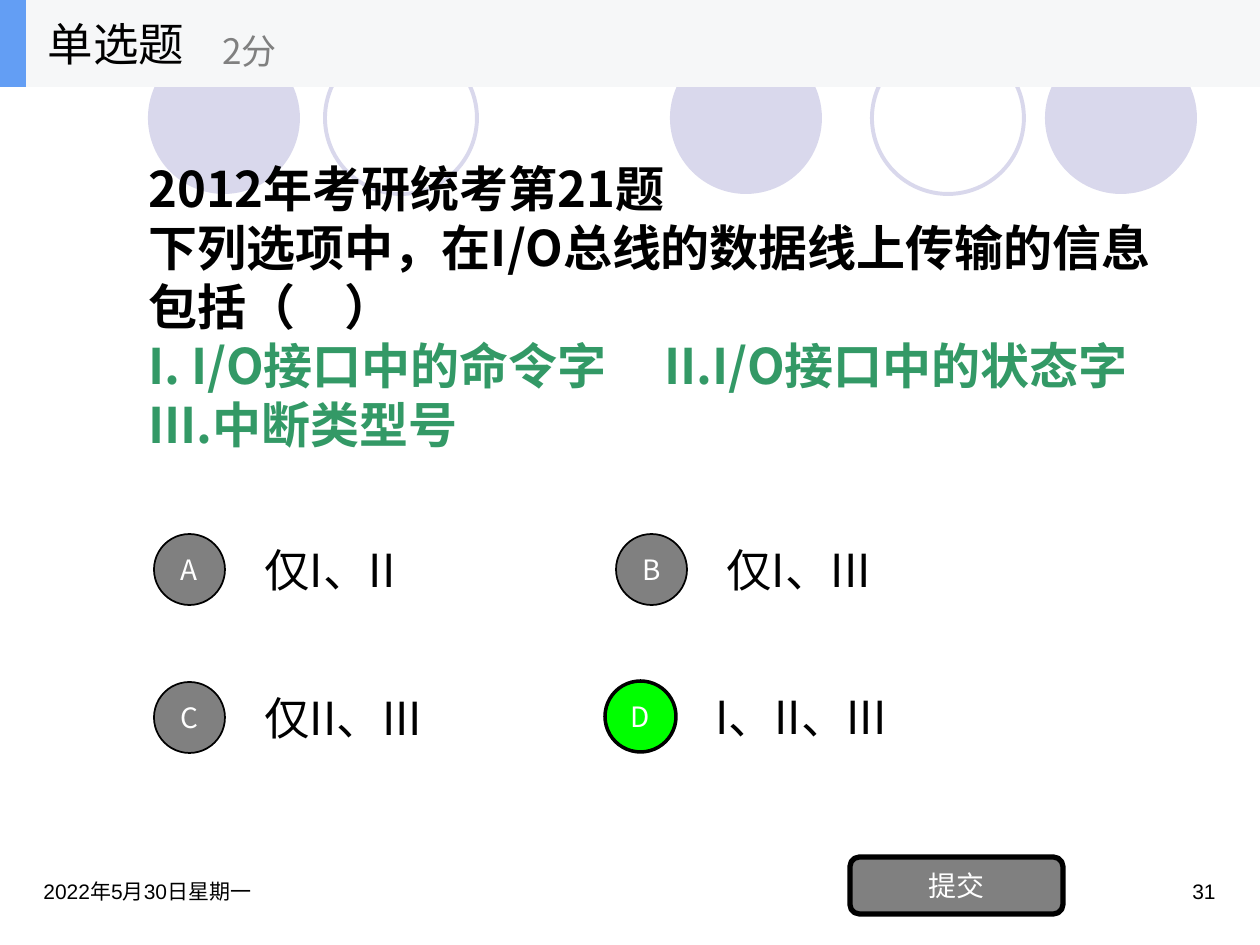
import pptx
import pptx.dml.color
import pptx.enum.shapes
import pptx.enum.text
import pptx.oxml
import pptx.oxml.ns
import pptx.util

EMU_PER_PX = 914400 / 126
SANS = "Noto Sans CJK SC"
COLORS = {
    "black": "000000", "white": "FFFFFF", "gray": "808080", "green": "339966",
    "lilac": "D9D8EC", "correct": "00FF00", "band": "F6F7F8", "accent": "639EF4",
}
SHAPE = pptx.enum.shapes.MSO_SHAPE
ALIGN = pptx.enum.text.PP_ALIGN
ANCHOR = pptx.enum.text.MSO_ANCHOR


def px(length):
    return pptx.util.Emu(round(length * EMU_PER_PX))


def rgb(name):
    return pptx.dml.color.RGBColor.from_string(COLORS[name])


def format_para(para, size, color="black", font=SANS, bold=False, align=ALIGN.LEFT):
    para.alignment = align
    for span in para.runs:
        span.font.size = pptx.util.Pt(size)
        span.font.name = font
        span.font.bold = bold
        span.font.color.rgb = rgb(color)
        # East Asian glyphs take their typeface from a separate element
        east_asian = pptx.oxml.parse_xml(
            f'<a:ea {pptx.oxml.ns.nsdecls("a")} typeface="{SANS}"/>')
        span.font.fill  # keeps the fill ahead of the typefaces
        span.font._element.find(pptx.oxml.ns.qn("a:latin")).addnext(east_asian)


def add_text(page, left, top, width, height, text, size, anchor=ANCHOR.MIDDLE, **style):
    box = page.shapes.add_textbox(px(left), px(top), px(width), px(height))
    frame = box.text_frame
    frame.word_wrap = True
    frame.vertical_anchor = anchor
    frame.text = text
    for para in frame.paragraphs:
        format_para(para, size, **style)
    return box


def add_figure(page, kind, left, top, width, height, fill=None, line=None, weight=1):
    figure = page.shapes.add_shape(kind, px(left), px(top), px(width), px(height))
    figure.shadow.inherit = False
    if fill:
        figure.fill.solid()
        figure.fill.fore_color.rgb = rgb(fill)
    else:
        figure.fill.background()
    if line:
        figure.line.color.rgb = rgb(line)
        figure.line.width = pptx.util.Pt(weight)
    else:
        figure.line.fill.background()
    return figure


def add_button(page, kind, left, top, width, height, label, fill, weight):
    button = add_figure(page, kind, left, top, width, height, fill, "black", weight)
    frame = button.text_frame
    frame.margin_left = frame.margin_right = 0
    frame.vertical_anchor = ANCHOR.MIDDLE
    frame.text = label
    format_para(frame.paragraphs[0], 16, "white", align=ALIGN.CENTER)


def add_circles(page, top, size):
    for left, filled in ((148, True), (325, False), (670, True), (872, False), (1045, True)):
        fill, line = ("lilac", None) if filled else (None, "lilac")
        add_figure(page, SHAPE.OVAL, left, top, size, size, fill, line, 2.25)


def add_header(page, left, top, width, height):
    add_figure(page, SHAPE.RECTANGLE, left, top, width, height, "band")
    add_figure(page, SHAPE.RECTANGLE, left, top, 26, height, "accent")
    title = page.shapes.title
    title.left, title.top = px(left + 35), px(top)
    title.width, title.height = px(262), px(height)
    title.text_frame.text = "单选题"
    title.text_frame.vertical_anchor = ANCHOR.MIDDLE
    format_para(title.text_frame.paragraphs[0], 26)
    # Bring the title in front of the band
    title.element.getparent().append(title.element)
    add_text(page, left + 210, top + 15, 315, 71, "2分", 20, color="gray")


def add_question(page, left, top, width, height):
    lines = (
        ("2012年考研统考第21题", "black"),
        ("下列选项中，在I/O总线的数据线上传输的信息包括（　）", "black"),
        ("I. I/O接口中的命令字\tII.I/O接口中的状态字", "green"),
        ("III.中断类型号", "green"),
    )
    text = "\n".join(line for line, _ in lines)
    box = add_text(page, left, top, width, height, text, 28, bold=True)
    for para, (_, color) in zip(box.text_frame.paragraphs, lines):
        para.line_spacing = pptx.util.Pt(33.7)
        if "\t" in para.text:
            # Tab stop where the second statement starts
            para._p.get_or_add_pPr().append(pptx.oxml.parse_xml(
                f'<a:tabLst {pptx.oxml.ns.nsdecls("a")}>'
                f'<a:tab pos="{px(516)}" algn="l"/></a:tabLst>'))
        for span in para.runs:
            span.font.color.rgb = rgb(color)


def add_option(page, left, top, letter, answer, fill="gray", weight=1):
    add_button(page, SHAPE.OVAL, left, top + 9, 71, 71, letter, fill, weight)
    add_text(page, left + 98, top, 357, 88, answer, 26)


def add_footer(page, left, top, width, height):
    style = {"anchor": ANCHOR.TOP, "font": "Arial"}
    add_text(page, left, top, 294, height, "2022年5月30日星期一", 12, **style)
    add_text(page, left + width - 294, top, 294, height, "31", 12, align=ALIGN.RIGHT, **style)


def main():
    deck = pptx.Presentation()
    deck.slide_width, deck.slide_height = px(1260), px(945)
    page = deck.slides.add_slide(deck.slide_layouts[5])

    add_circles(page, 42, 152)
    add_footer(page, 31, 872, 1197, 63)
    add_question(page, 136, 158, 1040, 295)
    # Answer options, the correct one highlighted
    add_option(page, 154, 525, "A", "仅I、II")
    add_option(page, 616, 525, "B", "仅I、III")
    add_option(page, 154, 673, "C", "仅II、III")
    add_option(page, 605, 672, "D", "I、II、III", "correct", 2)
    add_button(page, SHAPE.ROUNDED_RECTANGLE, 850, 857, 213, 57, "提交", "gray", 3)
    add_header(page, 0, 0, 1260, 87)

    deck.save("out.pptx")


if __name__ == "__main__":
    main()
